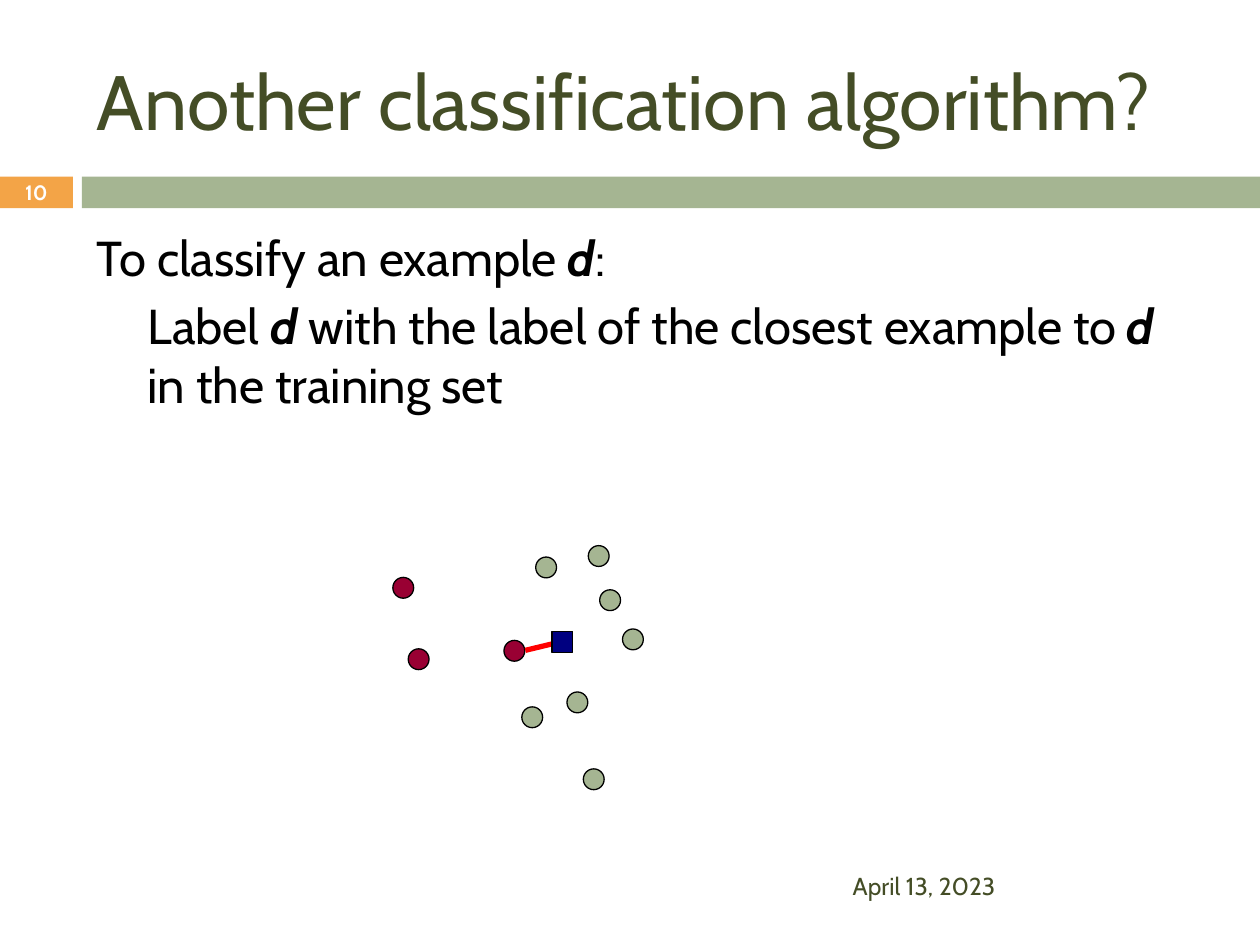
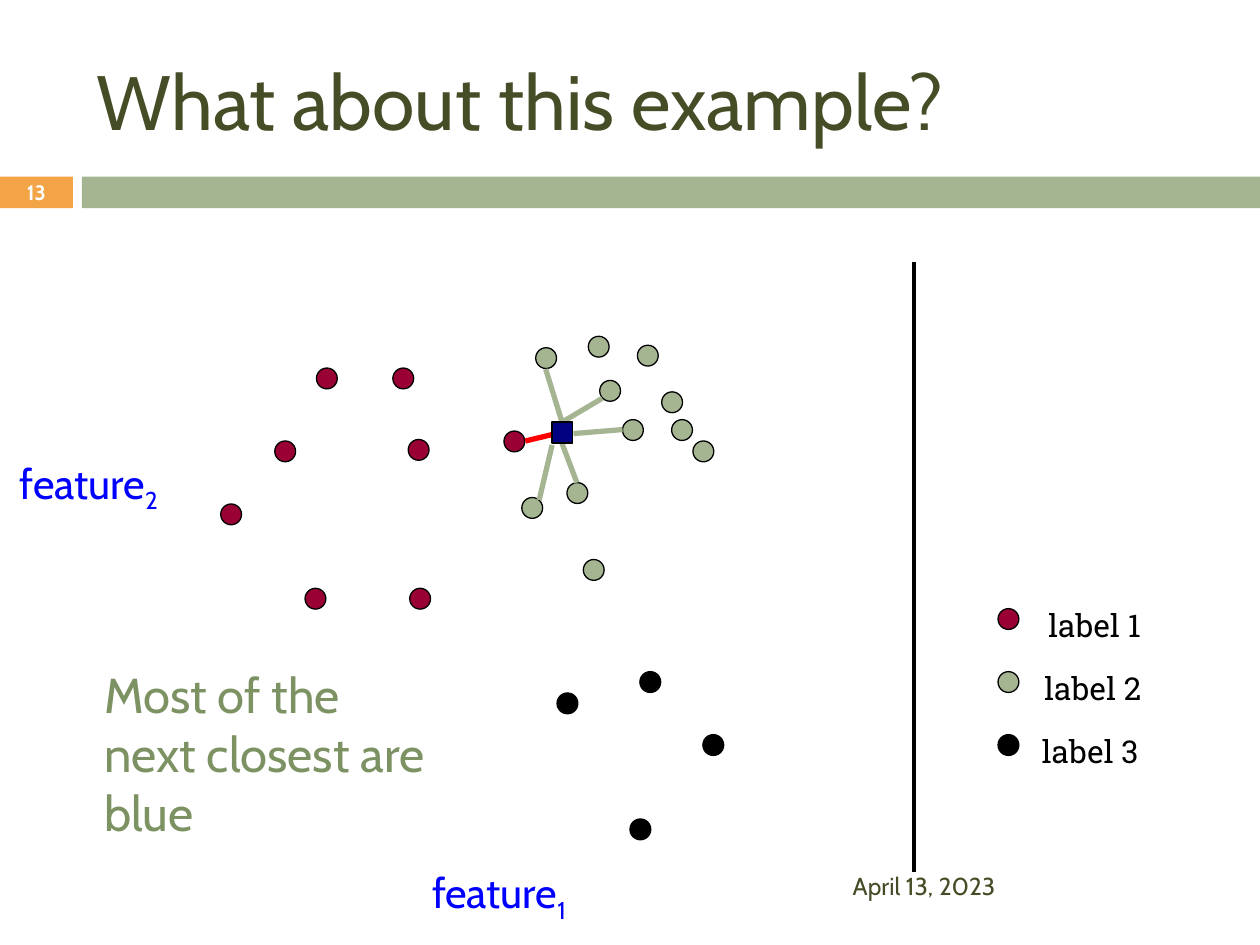
"""Build two slides on nearest-neighbour classification."""
from lxml.etree import SubElement
from pptx import Presentation
from pptx.dml.color import RGBColor
from pptx.enum.shapes import MSO_CONNECTOR as Link, MSO_SHAPE as Form
from pptx.enum.text import MSO_ANCHOR as Anchor, MSO_AUTO_SIZE as Fit, PP_ALIGN as Align
from pptx.oxml.ns import qn
from pptx.util import Cm, Pt

OLIVE = RGBColor(0x44, 0x4D, 0x26)
SAGE = RGBColor(0xA5, 0xB5, 0x92)
MOSS = RGBColor(0x7D, 0x92, 0x63)
ORANGE = RGBColor(0xF3, 0xA4, 0x47)
CRIMSON = RGBColor(0x99, 0x00, 0x33)
NAVY = RGBColor(0x00, 0x00, 0x80)
BLUE = RGBColor(0x00, 0x00, 0xFF)
RED = RGBColor(0xFF, 0x00, 0x00)
BLACK = RGBColor(0x00, 0x00, 0x00)
WHITE = RGBColor(0xFF, 0xFF, 0xFF)

SANS, SLAB = "Cabin", "Roboto Slab"
DOT = 0.42
DROP = 4.22
DATE = "April 13, 2023"
TITLE_AREA = (1.7, 0.64, 22.66, 2.74)
BODY_AREA = (1.7, 4.45, 22.66, 12.5)
BANDS = [((0, 3.56, 1.47, 0.64), ORANGE), ((1.65, 3.56, 23.75, 0.64), SAGE)]

TITLE_FONT = {"name": SANS, "size": Pt(44), "color": OLIVE}
BODY_FONT = {"name": SANS, "size": Pt(28), "color": BLACK}
DATE_FONT = {"name": SANS, "size": Pt(14), "color": OLIVE}
NUMBER_FONT = {"name": SANS, "size": Pt(11.9), "color": WHITE, "bold": True}
LABEL_FONT = {"name": SLAB, "size": Pt(18), "color": BLACK}
AXIS_FONT = {"name": SANS, "size": Pt(24), "color": BLUE}
REMARK_FONT = {"name": SANS, "size": Pt(28), "color": MOSS}
STRONG = {"bold": True, "italic": True}

RULE = [
    (0, 7, [("To classify an example ", {}), ("d", STRONG), (":", {})]),
    (1.02, 5.5, [("Label ", {}), ("d", STRONG),
                 (" with the label of the closest example to ", {}),
                 ("d", STRONG), (" in the training set", {})]),
]
NEAR_POINTS = {
    CRIMSON: [(7.92, 7.42), (8.23, 8.86), (10.16, 8.69)],
    SAGE: [(11.43, 9.73), (11.86, 6.78), (11.76, 11.28), (12.55, 8.46),
           (12.09, 7.67), (10.8, 7.01), (10.52, 10.03)],
}
FAR_POINTS = {
    CRIMSON: [(6.38, 7.42), (5.54, 8.89), (6.15, 11.86), (4.45, 10.16), (8.26, 11.86)],
    SAGE: [(13.54, 8.46), (13.97, 8.89), (13.34, 7.9), (12.85, 6.96)],
    BLACK: [(12.9, 13.54), (11.23, 13.97), (12.7, 16.51), (14.17, 14.81)],
}
QUERY = (11.13, 8.51)
CLOSEST = (10.59, 8.89, 11.13, 8.76)
NEXT_CLOSEST = [
    (11.33, 8.51, 12.14, 8.03), (11.56, 8.74, 12.55, 8.66), (11.33, 8.94, 11.63, 9.73),
    (11.13, 8.97, 10.87, 10.08), (11.33, 8.51, 11, 7.44),
]
LEGEND = [("label 1", CRIMSON, 20.88), ("label 2", SAGE, 20.8), ("label 3", BLACK, 20.75)]
LEGEND_LEFT, LEGEND_TOP, LEGEND_STEP = 20.12, 12.27, 1.27
AXES = [("1", 8.46, 17.35), ("2", 0.15, 9.09)]
DIVIDER = (18.42, 5.28, 18.42, 17.58)


def add_span(para, text, style):
    """Append text with the given font values."""
    span = para.add_run()
    span.text = text
    for key, value in style.items():
        if key == "color":
            span.font.color.rgb = value
        elif key == "baseline":
            span._r.get_or_add_rPr().set(key, value)
        else:
            setattr(span.font, key, value)


def place(box, area):
    """Move and size a shape, in centimetres."""
    for side, length in zip(("left", "top", "width", "height"), area):
        setattr(box, side, Cm(length))


def add_text(page, area, spans, style, **frame_values):
    """Add a one-paragraph text box and return the paragraph."""
    box = page.shapes.add_textbox(*map(Cm, area))
    for key, value in {"word_wrap": True, **frame_values}.items():
        setattr(box.text_frame, key, value)
    para = box.text_frame.paragraphs[0]
    for text, extra in spans:
        add_span(para, text, {**style, **extra})
    return para


def add_block(page, form, area, fill, outline=None):
    """Add a flat filled shape."""
    block = page.shapes.add_shape(form, *map(Cm, area))
    block.shadow.inherit = False
    block.fill.solid()
    block.fill.fore_color.rgb = fill
    if outline is None:
        block.line.fill.background()
    else:
        block.line.color.rgb = outline
        block.line.width = Pt(0.75)


def add_line(page, ends, color, weight=3):
    """Add a straight line without a shadow."""
    line = page.shapes.add_connector(Link.STRAIGHT, *map(Cm, ends))
    line.line.color.rgb = color
    line.line.width = Pt(weight)
    SubElement(line._element.spPr, qn("a:effectLst"))


def add_dots(page, groups, drop=0):
    """Add the example points of each label colour."""
    for color, points in groups.items():
        for left, top in points:
            add_block(page, Form.OVAL, (left, top + drop, DOT, DOT), color, BLACK)


def add_query(page, drop=0):
    """Add the unlabelled example and the line to its closest neighbour."""
    x1, y1, x2, y2 = CLOSEST
    add_line(page, (x1, y1 + drop, x2, y2 + drop), RED)
    left, top = QUERY
    add_block(page, Form.RECTANGLE, (left, top + drop, DOT, DOT), NAVY, BLACK)


def add_page(deck, layout, title, number):
    """Add a slide with its title, bands, date and number."""
    page = deck.slides.add_slide(deck.slide_layouts[layout])
    for area, color in BANDS:
        add_block(page, Form.RECTANGLE, area, color)
    heading = page.shapes.title
    place(heading, TITLE_AREA)
    heading.text_frame.vertical_anchor = Anchor.MIDDLE
    heading.text_frame.auto_size = Fit.NONE
    para = heading.text_frame.paragraphs[0]
    para.alignment = Align.LEFT
    add_span(para, title, TITLE_FONT)
    add_text(page, (16.94, 17.35, 7.42, 1.02), [(DATE, {})], DATE_FONT,
             vertical_anchor=Anchor.MIDDLE)
    margins = {f"margin_{side}": 0 for side in ("left", "right", "top", "bottom")}
    para = add_text(page, (0, 3.53, 1.47, 0.69), [(number, {})], NUMBER_FONT,
                    vertical_anchor=Anchor.MIDDLE, **margins)
    para.alignment = Align.CENTER
    return page


def fill_body(body):
    """Write the classification rule without bullets."""
    place(body, BODY_AREA)
    frame = body.text_frame
    frame.auto_size = Fit.NONE
    for level, (indent, gap, spans) in enumerate(RULE):
        para = frame.add_paragraph() if level else frame.paragraphs[0]
        para.level = level
        para.space_before = Pt(gap)
        props = para._p.get_or_add_pPr()
        props.set("marL", str(Cm(indent)))
        props.set("indent", "0")
        SubElement(props, qn("a:buNone"))
        for text, extra in spans:
            add_span(para, text, {**BODY_FONT, **extra})


def build_rule_page(deck):
    """Build the slide that states the rule."""
    page = add_page(deck, 1, "Another classification algorithm?", "10")
    fill_body(page.placeholders[1])
    add_dots(page, NEAR_POINTS, DROP)
    add_query(page, DROP)


def build_example_page(deck):
    """Build the slide with the full scatter and legend."""
    page = add_page(deck, 5, "What about this example?", "13")
    add_dots(page, NEAR_POINTS)
    add_dots(page, FAR_POINTS)
    add_line(page, DIVIDER, BLACK, 2.25)
    for row, (label, color, left) in enumerate(LEGEND):
        top = LEGEND_TOP + row * LEGEND_STEP
        add_dots(page, {color: [(LEGEND_LEFT, top)]})
        para = add_text(page, (left, top - 0.18, 2.51, 1.02), [(label, {})], LABEL_FONT,
                        word_wrap=False, auto_size=Fit.SHAPE_TO_FIT_TEXT)
        para.space_before = Pt(3.6)
    for index, left, top in AXES:
        add_text(page, (left, top, 3.39, 1.27),
                 [("feature", {}), (index, {"baseline": "-25000"})], AXIS_FONT,
                 auto_size=Fit.SHAPE_TO_FIT_TEXT)
    for ends in NEXT_CLOSEST:
        add_line(page, ends, SAGE)
    add_query(page)
    add_text(page, (1.85, 13.28, 6.99, 2.64), [("Most of the next closest are blue", {})],
             REMARK_FONT, auto_size=Fit.SHAPE_TO_FIT_TEXT)


def main():
    """Create and save the deck."""
    deck = Presentation()
    deck.slide_width, deck.slide_height = Cm(25.4), Cm(19.05)
    build_rule_page(deck)
    build_example_page(deck)
    deck.save("out.pptx")


if __name__ == "__main__":
    main()
